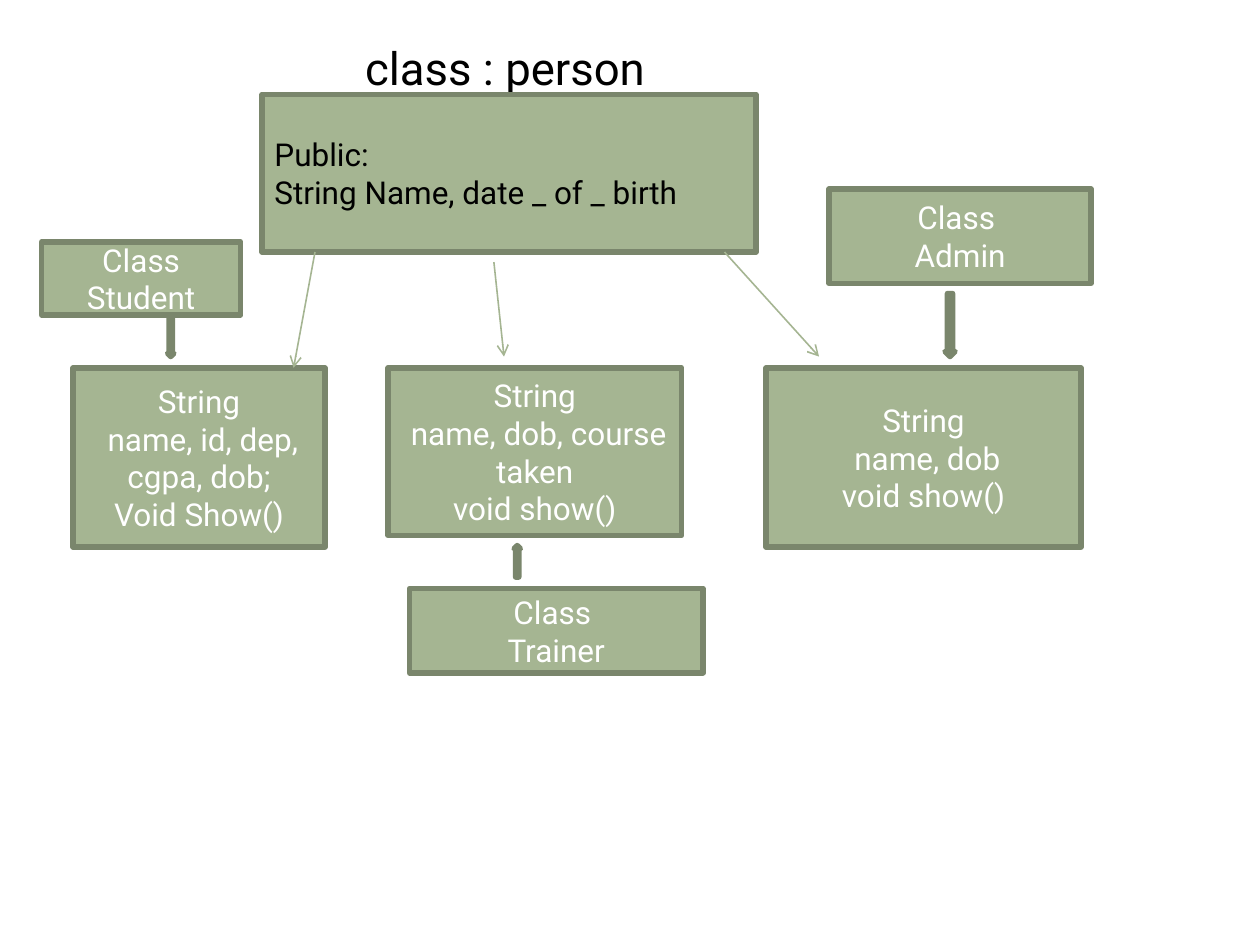
from lxml import etree
from pptx import Presentation
from pptx.dml.color import RGBColor
from pptx.enum.shapes import MSO_CONNECTOR, MSO_SHAPE
from pptx.enum.text import MSO_ANCHOR, PP_ALIGN
from pptx.oxml.ns import qn
from pptx.util import Inches, Pt

RECT, DOWN, UP = MSO_SHAPE.RECTANGLE, MSO_SHAPE.DOWN_ARROW, MSO_SHAPE.UP_ARROW
STRAIGHT = MSO_CONNECTOR.STRAIGHT
LEFT, CENTER = PP_ALIGN.LEFT, PP_ALIGN.CENTER
MIDDLE = MSO_ANCHOR.MIDDLE
COLORS = {"fill": "A5B592", "line": "7A866C", "dark": "000000", "light": "FFFFFF"}


def write(sp, text, size, color, align):
    """Fill a shape with text: newline starts a paragraph, \\v breaks a line."""
    tf = sp.text_frame
    tf.word_wrap = True
    tf.text = text
    for p in tf.paragraphs:
        p.alignment = align
        for r in p.runs:
            for name, value in {"name": "Roboto", "size": Pt(size)}.items():
                setattr(r.font, name, value)
            r.font.color.rgb = RGBColor.from_string(COLORS[color])


def add_block(kind, box):
    """Add a green shape with a dark outline."""
    sp = s.shapes.add_shape(kind, *map(Inches, box))
    sp.shadow.inherit = False
    sp.fill.solid()
    sp.fill.fore_color.rgb = RGBColor.from_string(COLORS["fill"])
    sp.line.color.rgb = RGBColor.from_string(COLORS["line"])
    sp.line.width = Pt(3.15)
    return sp


prs = Presentation()
prs.slide_width, prs.slide_height = Inches(10), Inches(7.5)
s = prs.slides.add_slide(prs.slide_layouts[6])

title = s.shapes.add_textbox(Inches(2.8), Inches(0.27), Inches(3), Inches(0.5))
write(title, "class : person", 26, "dark", LEFT)

# Class boxes: position and size, text, text colour, alignment
boxes = [
    ((2.08, 0.75, 3.92, 1.25), "Public:\vString Name, date _ of _ birth", "dark", LEFT),
    ((0.58, 2.92, 2, 1.42), "String\n name, id, dep, cgpa, dob;\nVoid Show()", "light", CENTER),
    ((3.08, 2.92, 2.33, 1.33), "String\n name, dob, course taken\vvoid show()", "light", CENTER),
    ((6.08, 2.92, 2.5, 1.42), "String\n name, dob\vvoid show()", "light", CENTER),
    ((0.33, 1.92, 1.58, 0.58), "Class Student", "light", CENTER),
    ((3.25, 4.67, 2.33, 0.67), "Class \nTrainer", "light", CENTER),
    ((6.58, 1.5, 2.08, 0.75), "Class \nAdmin", "light", CENTER),
]
for box, text, color, align in boxes:
    sp = add_block(RECT, box)
    sp.text_frame.vertical_anchor = MIDDLE
    write(sp, text, 18, color, align)

# Block arrows from each class name to its members
for kind, box in [
    (DOWN, (1.33, 2.5, 0.05, 0.33)),
    (UP, (4.08, 4.33, 0.05, 0.25)),
    (DOWN, (7.5, 2.33, 0.08, 0.5)),
]:
    add_block(kind, box)

# Thin arrows from the person class to the derived classes
for ends in [(2.5, 2, 2.33, 2.92), (3.92, 2.08, 4, 2.83), (5.75, 2, 6.5, 2.83)]:
    arrow = s.shapes.add_connector(STRAIGHT, *map(Inches, ends))
    arrow.line.color.rgb = RGBColor.from_string(COLORS["fill"])
    arrow.line.width = Pt(0.9)
    etree.SubElement(arrow.line._get_or_add_ln(), qn("a:tailEnd"), type="arrow")
    etree.SubElement(arrow._element.spPr, qn("a:effectLst"))

prs.save("out.pptx")
